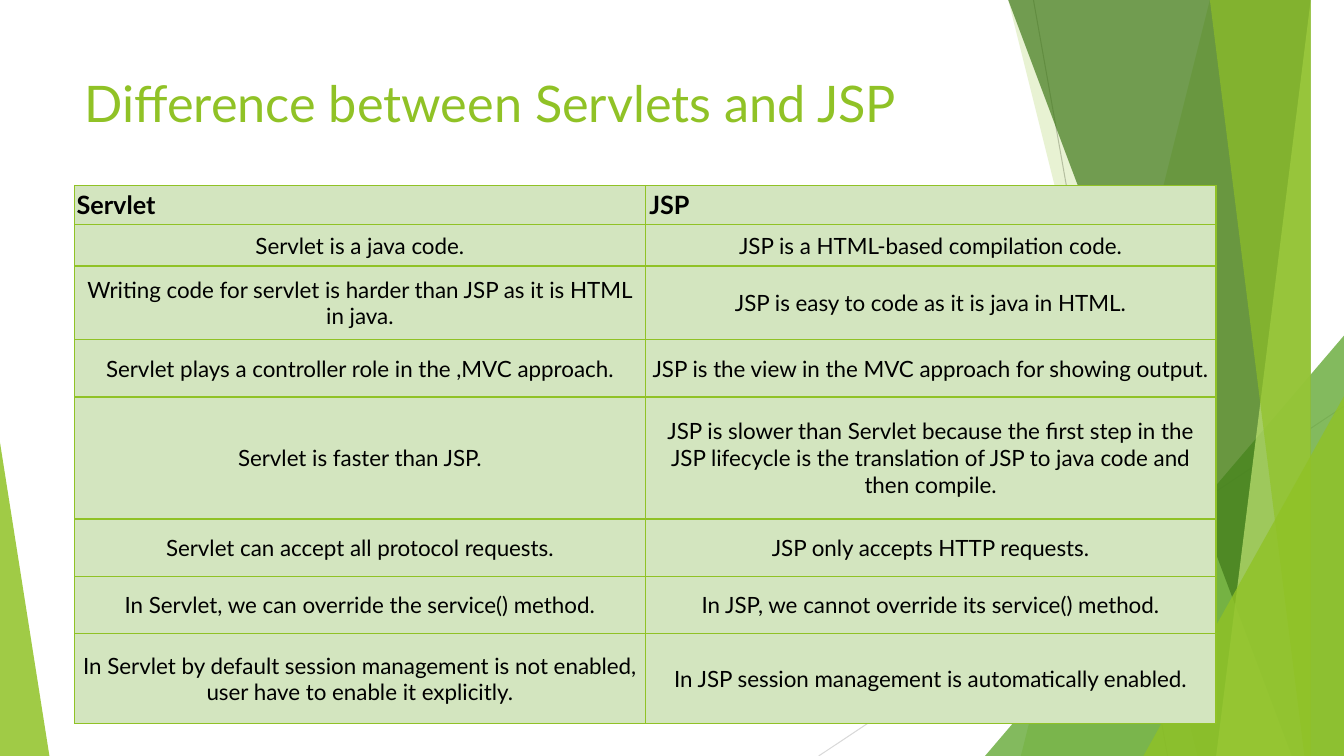
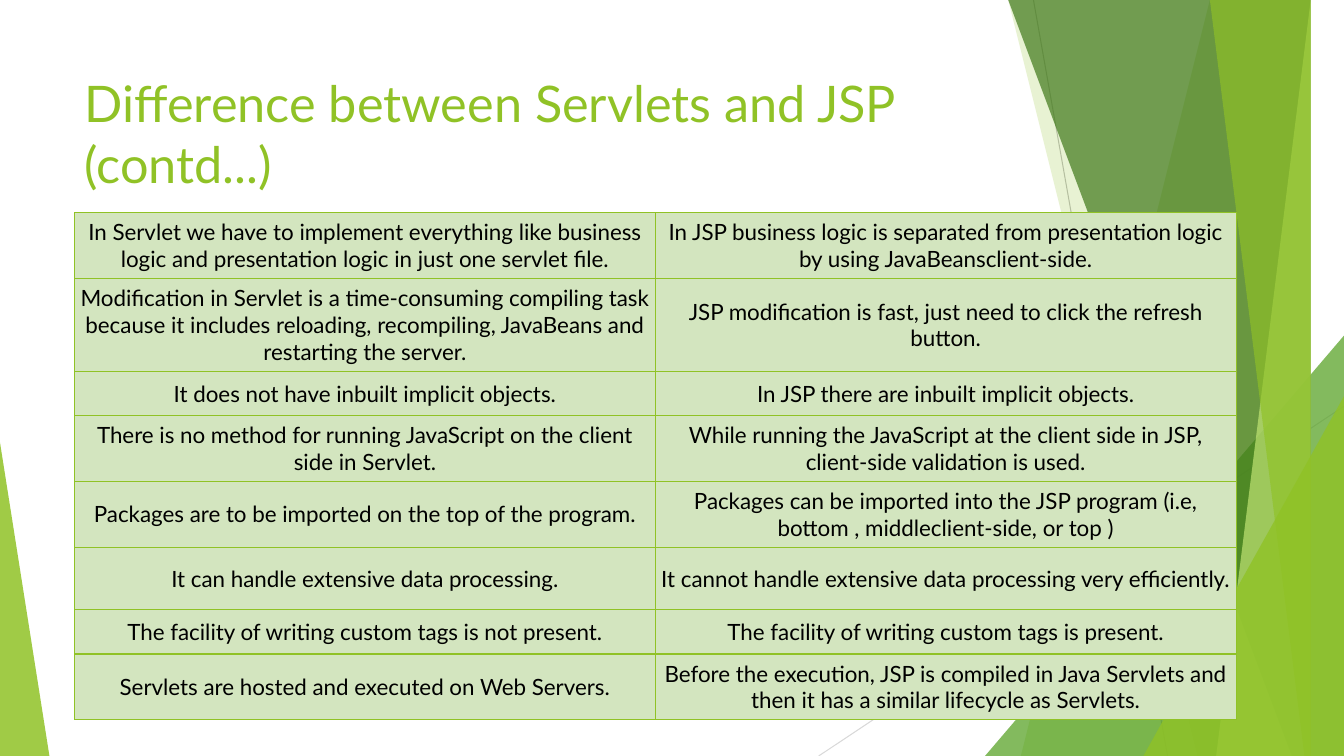
import lxml.etree
import pptx
import pptx.dml.color
import pptx.enum.shapes
import pptx.enum.text
import pptx.oxml.ns
import pptx.util

Inches = pptx.util.Inches
Pt = pptx.util.Pt
RGBColor = pptx.dml.color.RGBColor
qn = pptx.oxml.ns.qn

# Shared style
FONT = "Lato"
BLACK = RGBColor(0x00, 0x00, 0x00)
LIME = RGBColor(0x90, 0xC2, 0x26)
LEAF = RGBColor(0x54, 0xA0, 0x21)
FOREST = RGBColor(0x3F, 0x78, 0x19)
PALE_LIME = RGBColor(0xC0, 0xE4, 0x74)
CELL_GREEN = RGBColor(0xD3, 0xE5, 0xBF)
GREY = RGBColor(0xBF, 0xBF, 0xBF)
LIGHT_GREY = RGBColor(0xD9, 0xD9, 0xD9)
WIDTH, HEIGHT = 13.33, 7.5
BAND_TOP = -0.01
LEFT = 0.74

# Backdrop: hairlines as (start, end, colour)
HAIRLINES = [
    ((10.25, 0), (11.58, HEIGHT), GREY),
    ((WIDTH, 4.03), (8.12, HEIGHT), LIGHT_GREY),
]
# Facets from back to front, all standing on the bottom edge:
# "band" = left edge at top and bottom, running to the right side of the slide
# "triangle" = left, top, width, apex position
FACETS = [
    ("band", (12.28, 10.04), LIME, 30),
    ("band", (10.5, 11.83), LIME, 20),
    ("triangle", (9.77, 3.33, 3.56, 1), LEAF, 72),
    ("band", (10.21, 12.91), FOREST, 70),
    ("band", (13.03, 11.92), PALE_LIME, 70),
    ("band", (11.96, 13.18), LIME, 65),
    ("triangle", (11.34, 3.93, 1.99, 1), LIME, 80),
    ("triangle", (0, 4.39, 0.49, 0), LIME, 85),
]

# Content: each row is (height, servlet text, JSP text)
SLIDES = [
    {
        "title": "Difference between Servlets and JSP",
        "top": 1.84,
        "column": 5.66,
        "header": (0.39, "Servlet", "JSP"),
        "rows": [
            (0.41, "Servlet is a java code.", "JSP is a HTML-based compilation code."),
            (0.73, "Writing code for servlet is harder than JSP as it is HTML in java.",
             "JSP is easy to code as it is java in HTML."),
            (0.57, "Servlet plays a controller role in the ,MVC approach.",
             "JSP is the view in the MVC approach for showing output."),
            (1.21, "Servlet is faster than JSP.",
             "JSP is slower than Servlet because the first step in the JSP lifecycle "
             "is the translation of JSP to java code and then compile."),
            (0.57, "Servlet can accept all protocol requests.",
             "JSP only accepts HTTP requests."),
            (0.57, "In Servlet, we can override the service() method.",
             "In JSP, we cannot override its service() method."),
            (0.89, "In Servlet by default session management is not enabled, "
             "user have to enable it explicitly.",
             "In JSP session management is automatically enabled."),
        ],
    },
    {
        "title": "Difference between Servlets and JSP (contd...)",
        "top": 2.11,
        "column": 5.76,
        "header": None,
        "rows": [
            (0.65, "In Servlet we have to implement everything like business logic "
             "and presentation logic in just one servlet file.",
             "In JSP business logic is separated from presentation logic "
             "by using JavaBeansclient-side."),
            (0.92, "Modification in Servlet is a time-consuming compiling task because "
             "it includes reloading, recompiling, JavaBeans and restarting the server.",
             "JSP modification is fast, just need to click the refresh button."),
            (0.44, "It does not have inbuilt implicit objects.",
             "In JSP there are inbuilt implicit objects."),
            (0.65, "There is no method for running JavaScript on the client side in Servlet.",
             "While running the JavaScript at the client side in JSP, "
             "client-side validation is used."),
            (0.65, "Packages are to be imported on the top of the program.",
             "Packages can be imported into the JSP program "
             "(i.e, bottom , middleclient-side, or top )"),
            (0.62, "It can handle extensive data processing.",
             "It cannot handle extensive data processing very efficiently."),
            (0.44, "The facility of writing custom tags is not present.",
             "The facility of writing custom tags is present."),
            (0.65, "Servlets are hosted and executed on Web Servers.",
             "Before the execution, JSP is compiled in Java Servlets "
             "and then it has a similar lifecycle as Servlets."),
        ],
    },
]


def add_backdrop(page):
    group = page.shapes.add_group_shape()
    for start, end, colour in HAIRLINES:
        line = group.shapes.add_connector(
            pptx.enum.shapes.MSO_CONNECTOR.STRAIGHT,
            *(Inches(value) for value in start + end))
        line.line.color.rgb = colour
        line.line.width = Pt(0.75)
        properties = line.element.find(qn("p:spPr"))
        lxml.etree.SubElement(properties, qn("a:effectLst"))

    for kind, place, colour, opacity in FACETS:
        if kind == "band":
            top_x, bottom_x = place
            outline = group.shapes.build_freeform(top_x, BAND_TOP, scale=Inches(1))
            outline.add_line_segments(
                [(WIDTH, BAND_TOP), (WIDTH, HEIGHT), (bottom_x, HEIGHT)], close=True)
            facet = outline.convert_to_shape()
        else:
            left, top, width, apex = place
            facet = group.shapes.add_shape(
                pptx.enum.shapes.MSO_SHAPE.ISOSCELES_TRIANGLE,
                Inches(left), Inches(top), Inches(width), Inches(HEIGHT - top))
            facet.adjustments[0] = apex
        facet.shadow.inherit = False
        facet.line.fill.background()
        facet.fill.solid()
        facet.fill.fore_color.rgb = colour
        fill_colour = facet.element.find(".//" + qn("a:solidFill"))[0]
        lxml.etree.SubElement(fill_colour, qn("a:alpha"), val=str(opacity * 1000))


def set_font(paragraph, size, colour, bold=False):
    paragraph.font.name = FONT
    paragraph.font.size = Pt(size)
    paragraph.font.color.rgb = colour
    paragraph.font.bold = bold


def add_title(page, title):
    box = page.shapes.add_textbox(Inches(LEFT), Inches(0.67), Inches(9.4), Inches(1.44))
    box.text_frame.word_wrap = True
    paragraph = box.text_frame.paragraphs[0]
    paragraph.text = title
    set_font(paragraph, 36, LIME)


def style_cell(cell, text, is_header, side_inset):
    cell.text = text
    cell.vertical_anchor = pptx.enum.text.MSO_ANCHOR.MIDDLE
    cell.margin_left = cell.margin_right = Inches(side_inset)
    cell.margin_top = cell.margin_bottom = Inches(0.04 if is_header else 0.06)
    paragraph = cell.text_frame.paragraphs[0]
    if not is_header:
        paragraph.alignment = pptx.enum.text.PP_ALIGN.CENTER
    set_font(paragraph, 18 if is_header else 16, BLACK, is_header)
    # Borders come before the fill
    properties = cell._tc.get_or_add_tcPr()
    for side in ("a:lnL", "a:lnR", "a:lnT", "a:lnB"):
        border = lxml.etree.SubElement(properties, qn(side), w=str(Pt(1)))
        fill = lxml.etree.SubElement(border, qn("a:solidFill"))
        lxml.etree.SubElement(fill, qn("a:srgbClr"), val=str(LIME))
    cell.fill.solid()
    cell.fill.fore_color.rgb = CELL_GREEN


def add_comparison(page, content):
    header = content["header"]
    rows = ([header] if header else []) + content["rows"]
    table = page.shapes.add_table(
        len(rows), 2, Inches(LEFT), Inches(content["top"]),
        Inches(2 * content["column"]), Inches(sum(row[0] for row in rows))).table
    table.first_row = table.horz_banding = False
    for column in table.columns:
        column.width = Inches(content["column"])
    for row_index, (height, *texts) in enumerate(rows):
        table.rows[row_index].height = Inches(height)
        is_header = header is not None and row_index == 0
        for column_index, text in enumerate(texts):
            side_inset = 0.02 if is_header and column_index == 0 else 0.04
            style_cell(table.cell(row_index, column_index), text, is_header, side_inset)


def main():
    deck = pptx.Presentation()
    deck.slide_width, deck.slide_height = Inches(WIDTH), Inches(HEIGHT)
    for content in SLIDES:
        page = deck.slides.add_slide(deck.slide_layouts[6])
        add_backdrop(page)
        add_title(page, content["title"])
        add_comparison(page, content)
    deck.save("out.pptx")


if __name__ == "__main__":
    main()
